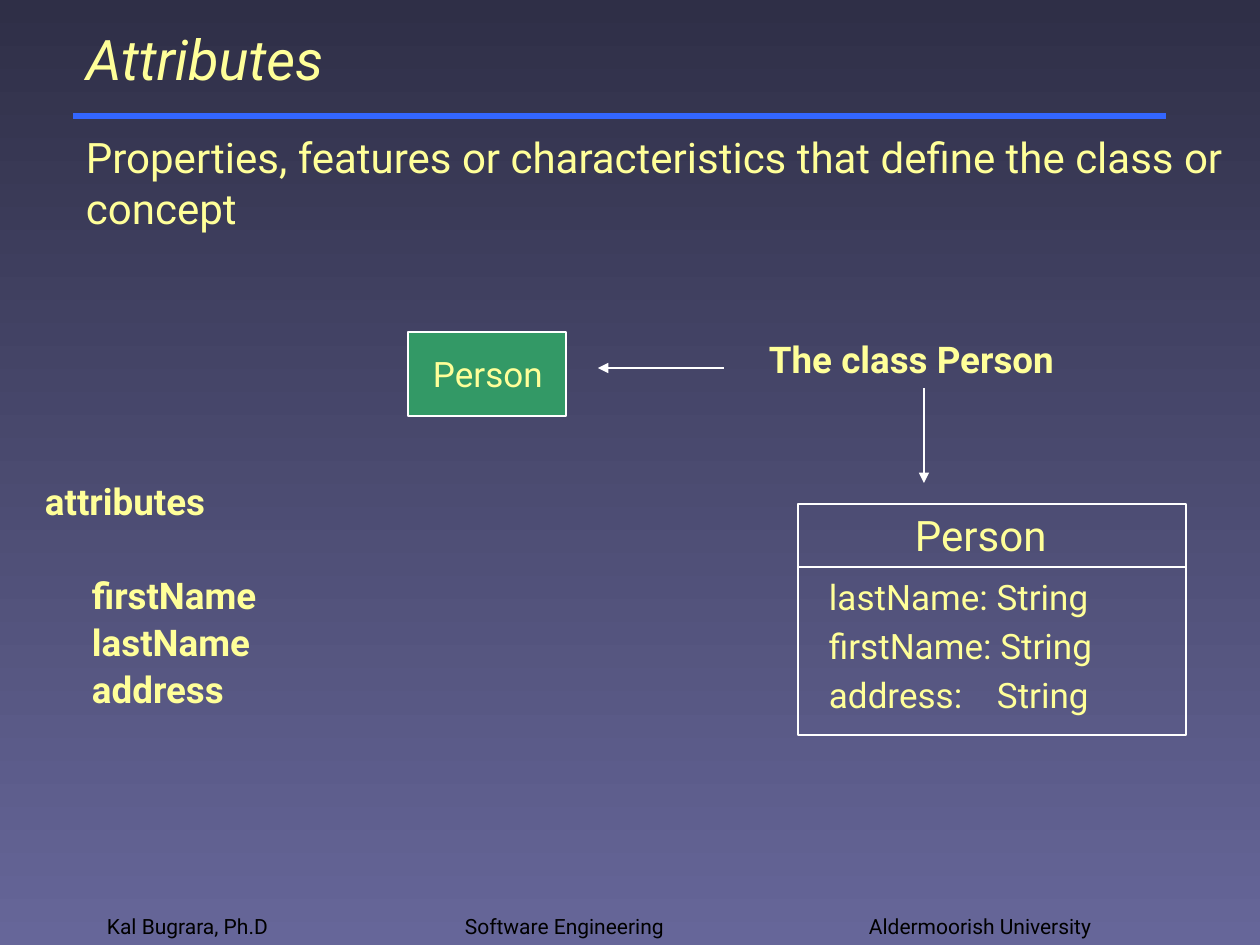
import pptx
import pptx.dml.color
import pptx.enum.shapes
import pptx.enum.text
import pptx.oxml
import pptx.oxml.ns
import pptx.util

THEME = {
    "font": "Roboto",
    "text": "FFFF99", "footer": "000000", "line": "FFFFFF", "rule": "3366FF",
    "box": "339966", "top": "2F2F47", "bottom": "666699",
    "title_pt": 32, "lead_pt": 24, "label_pt": 21, "member_pt": 20, "footer_pt": 12,
}
TITLE = "Attributes"
LEAD = "Properties, features or characteristics that define the class or concept"
CLASS_NAME = "Person"
CLASS_LABEL = "The class Person"
ATTRIBUTES = ["attributes", "firstName", "lastName", "address"]
MEMBERS = ["lastName: String", "firstName: String", "address:\tString"]
# text, left, width
FOOTERS = [
    ("Kal Bugrara, Ph.D", 94, 262),
    ("Software Engineering", 452, 262),
    ("Aldermoorish University", 856, 262),
]
# from x, from y, to x, to y
ARROWS = [(724, 368, 598, 368), (924, 388, 924, 483)]
CARD = (798, 504, 388, 231)
CARD_DIVIDER = 567
MEMBER_TAB = 168
INDENT = 47
PAD_X, PAD_Y = 13, 6
GAP = 0.2  # paragraph gap as a share of the type size

A = pptx.enum.text.MSO_ANCHOR


def px(n):
    return pptx.util.Emu(round(n * 914400 / 126))


def rgb(name):
    return pptx.dml.color.RGBColor.from_string(THEME[name])


def write(sp, lines, size, color="text", bold=False, italic=False, spacing=None,
          anchor=A.TOP, wrap=True, pad_y=PAD_Y):
    tf = sp.text_frame
    tf.text = "\n".join(lines)
    tf.word_wrap = wrap
    tf.auto_size = pptx.enum.text.MSO_AUTO_SIZE.NONE
    tf.vertical_anchor = anchor
    tf.margin_left = tf.margin_right = px(PAD_X)
    tf.margin_top, tf.margin_bottom = px(pad_y), px(PAD_Y)
    for i, p in enumerate(tf.paragraphs):
        p.alignment = pptx.enum.text.PP_ALIGN.LEFT
        p.space_before = pptx.util.Pt(round(THEME[size] * GAP, 1) if i else 0)
        if spacing:
            p.line_spacing = spacing
        for r in p.runs:
            r.font.name = THEME["font"]
            r.font.size = pptx.util.Pt(THEME[size])
            r.font.bold, r.font.italic = bold, italic
            r.font.color.rgb = rgb(color)
    return tf


def place(sp, left, top, width, height):
    sp.left, sp.top, sp.width, sp.height = map(px, (left, top, width, height))
    return sp


def add_text(slide, box, lines, size, **style):
    return write(slide.shapes.add_textbox(*map(px, box)), lines, size, **style)


def add_box(slide, box, fill=None):
    sp = slide.shapes.add_shape(pptx.enum.shapes.MSO_SHAPE.RECTANGLE, *map(px, box))
    sp.shadow.inherit = False
    if fill:
        sp.fill.solid()
        sp.fill.fore_color.rgb = rgb(fill)
    else:
        sp.fill.background()
    sp.line.color.rgb = rgb("line")
    sp.line.width = pptx.util.Pt(0.75)


def add_line(slide, ends, color="line", width=0.75, arrow=False):
    cx = slide.shapes.add_connector(
        pptx.enum.shapes.MSO_CONNECTOR.STRAIGHT, *map(px, ends))
    cx.line.color.rgb = rgb(color)
    cx.line.width = pptx.util.Pt(width)
    if arrow:
        add_child(cx.line._get_or_add_ln(), "a:tailEnd", type="triangle")
    add_child(cx._element.spPr, "a:effectLst")


def add_child(parent, tag, **attrs):
    child = pptx.oxml.parse_xml(f"<{tag} {pptx.oxml.ns.nsdecls('a')}/>")
    for key, value in attrs.items():
        child.set(key, str(value))
    parent.append(child)
    return child


def main():
    prs = pptx.Presentation()
    prs.slide_width, prs.slide_height = px(1260), px(945)
    slide = prs.slides.add_slide(prs.slide_layouts[1])

    bg = slide.background.fill
    bg.gradient()
    bg.gradient_angle = 270
    for stop, name in zip(bg.gradient_stops, ("top", "bottom")):
        stop.color.rgb = rgb(name)

    add_line(slide, (73, 116, 1166, 116), "rule", 3)
    for text, left, width in FOOTERS:
        add_text(slide, (left, 882, width, 63), [text], "footer_pt",
                 color="footer", anchor=A.BOTTOM)

    title, body = slide.placeholders
    write(place(title, 73, 30, 1092, 56), [TITLE], "title_pt",
          italic=True, anchor=A.MIDDLE)
    tf = write(place(body, 32, 420, 1081, 472), ATTRIBUTES, "label_pt",
               bold=True, spacing=0.9, pad_y=64)
    for i, p in enumerate(tf.paragraphs):
        pPr = p._p.get_or_add_pPr()
        pPr.set("marL", str(px(INDENT if i else 0)))
        pPr.set("indent", "0")
        add_child(pPr, "a:buNone")
    tf.paragraphs[1].space_before = pptx.util.Pt(31)

    add_text(slide, (73, 126, 1187, 113), [LEAD], "lead_pt")

    add_box(slide, (408, 332, 158, 84), "box")
    add_text(slide, (420, 346, 136, 54), [CLASS_NAME], "member_pt", wrap=False)
    add_text(slide, (756, 336, 328, 53), [CLASS_LABEL], "label_pt",
             bold=True, spacing=0.9, wrap=False)
    for ends in ARROWS:
        add_line(slide, ends, arrow=True)

    add_box(slide, CARD)
    left, top, width, _ = CARD
    add_line(slide, (left, CARD_DIVIDER, left + width, CARD_DIVIDER))
    add_text(slide, (902, top, 159, 63), [CLASS_NAME], "lead_pt", wrap=False)
    tf = add_text(slide, (816, 569, 290, 155), MEMBERS, "member_pt")
    for p in tf.paragraphs:
        tabs = add_child(p._p.get_or_add_pPr(), "a:tabLst")
        add_child(tabs, "a:tab", pos=px(MEMBER_TAB), algn="l")

    prs.save("out.pptx")


if __name__ == "__main__":
    main()
